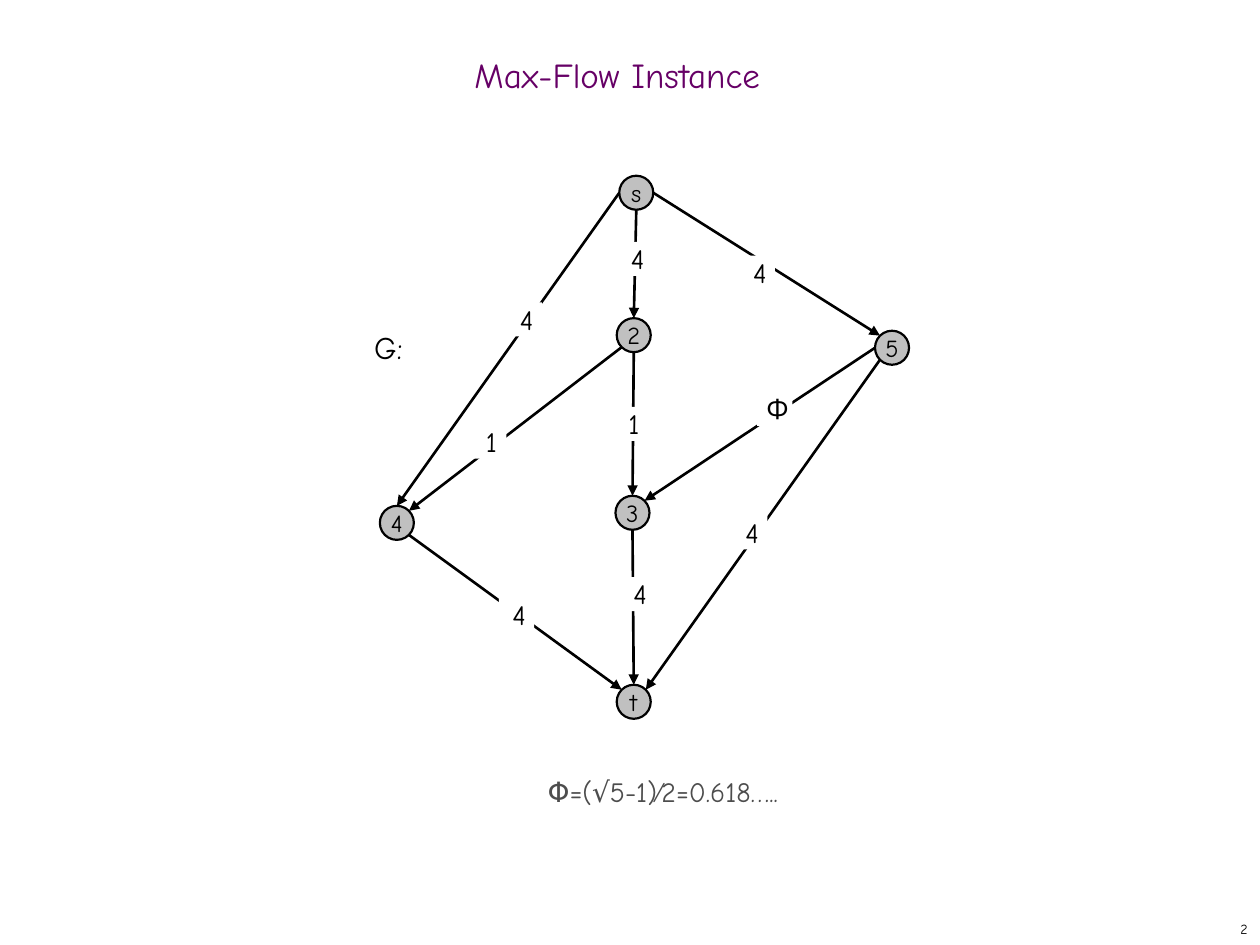
from dataclasses import dataclass

import lxml.etree
import pptx
import pptx.dml.color
import pptx.enum.shapes
import pptx.enum.text
import pptx.oxml.ns
import pptx.util

Inches = pptx.util.Inches
Align = pptx.enum.text.PP_ALIGN
Anchor = pptx.enum.text.MSO_ANCHOR
Kind = pptx.enum.shapes.MSO_SHAPE

FONT = "Comic Neue"
BLACK, WHITE, GRAY, PURPLE, DARK_GRAY = "000000", "FFFFFF", "C0C0C0", "660066", "4D4D4D"
NODE_SIZE = 0.27
LABEL_WIDTH, LABEL_HEIGHT = 0.28, 0.27
DIAGONAL = 0.71
SIDES = {
    "top": (0, -1), "bottom": (0, 1), "left": (-1, 0), "right": (1, 0),
    "top left": (-DIAGONAL, -DIAGONAL), "top right": (DIAGONAL, -DIAGONAL),
    "bottom left": (-DIAGONAL, DIAGONAL), "bottom right": (DIAGONAL, DIAGONAL),
}


@dataclass(frozen=True)
class Node:
    name: str
    x: float
    y: float

    def site(self, side: str) -> tuple[float, float]:
        across, down = SIDES[side]
        radius = NODE_SIZE / 2
        return self.x + across * radius, self.y + down * radius


@dataclass(frozen=True)
class Edge:
    start: str
    start_side: str
    end: str
    end_side: str
    capacity: str
    label_x: float
    label_y: float
    font: str = FONT


NODES = {node.name: node for node in (
    Node("s", 5.05, 1.53),
    Node("2", 5.03, 2.66),
    Node("3", 5.02, 4.07),
    Node("4", 3.15, 4.15),
    Node("5", 7.08, 2.76),
    Node("t", 5.03, 5.57),
)}
EDGES = (
    Edge("s", "left", "4", "top", "4", 4.02, 2.4),
    Edge("s", "right", "5", "top left", "4", 5.87, 2.03),
    Edge("s", "bottom", "2", "top", "4", 4.9, 1.92),
    Edge("4", "bottom right", "t", "top left", "4", 3.96, 4.74),
    Edge("5", "bottom left", "t", "top right", "4", 5.81, 4.09),
    Edge("5", "left", "3", "top right", "Φ", 6.01, 3.11, "Open Sans"),
    Edge("2", "bottom left", "4", "top right", "1", 3.74, 3.37),
    Edge("2", "bottom", "3", "top", "1", 4.87, 3.23),
    Edge("3", "bottom", "t", "top", "4", 4.92, 4.58),
)


def color(value: str) -> pptx.dml.color.RGBColor:
    return pptx.dml.color.RGBColor.from_string(value)


def write(shape, text: str, *, size: float, font: str = FONT, fill: str = BLACK,
          align=Align.CENTER, anchor=Anchor.TOP, left: float = 0, right: float = 0,
          line_spacing: float = 1.0) -> None:
    frame = shape.text_frame
    frame.word_wrap = True
    frame.vertical_anchor = anchor
    frame.margin_left, frame.margin_right = Inches(left), Inches(right)
    frame.margin_top = frame.margin_bottom = 0
    paragraph = frame.paragraphs[0]
    paragraph.alignment = align
    paragraph.line_spacing = line_spacing
    run = paragraph.add_run()
    run.text = text
    run.font.name = font
    run.font.size = pptx.util.Pt(size)
    run.font.color.rgb = color(fill)


def add_text(slide, x: float, y: float, width: float, height: float, text: str, **style) -> None:
    box = slide.shapes.add_textbox(Inches(x), Inches(y), Inches(width), Inches(height))
    write(box, text, **style)


def add_filled(slide, kind, x: float, y: float, width: float, height: float, fill: str):
    shape = slide.shapes.add_shape(kind, Inches(x), Inches(y), Inches(width), Inches(height))
    shape.shadow.inherit = False
    shape.fill.solid()
    shape.fill.fore_color.rgb = color(fill)
    shape.line.fill.background()
    return shape


def add_node(slide, node: Node) -> None:
    radius = NODE_SIZE / 2
    shape = add_filled(slide, Kind.OVAL, node.x - radius, node.y - radius,
                       NODE_SIZE, NODE_SIZE, GRAY)
    shape.line.color.rgb = color(BLACK)
    shape.line.width = pptx.util.Pt(1.25)
    write(shape, node.name, size=14, anchor=Anchor.MIDDLE)


def add_edge(slide, edge: Edge) -> None:
    start = NODES[edge.start].site(edge.start_side)
    end = NODES[edge.end].site(edge.end_side)
    connector = slide.shapes.add_connector(
        pptx.enum.shapes.MSO_CONNECTOR.STRAIGHT, *map(Inches, start + end))
    connector.line.color.rgb = color(BLACK)
    connector.line.width = pptx.util.Pt(1.5)
    qn = pptx.oxml.ns.qn
    lxml.etree.SubElement(connector.line._get_or_add_ln(), qn("a:tailEnd"), type="triangle")
    lxml.etree.SubElement(connector._element.spPr, qn("a:effectLst"))


def add_capacity(slide, edge: Edge) -> None:
    shape = add_filled(slide, Kind.RECTANGLE, edge.label_x, edge.label_y,
                       LABEL_WIDTH, LABEL_HEIGHT, WHITE)
    write(shape, edge.capacity, size=16, font=edge.font, left=0.04)


def main() -> None:
    """Build the slide showing a max-flow instance."""
    presentation = pptx.Presentation()
    presentation.slide_width, presentation.slide_height = Inches(10), Inches(7.5)
    slide = presentation.slides.add_slide(presentation.slide_layouts[6])

    add_text(slide, 7.92, 7.25, 2.08, 0.25, "2", size=8, align=Align.RIGHT,
             anchor=Anchor.MIDDLE, right=0.1)
    add_text(slide, -0.1, 0.38, 10, 0.5, "Max-Flow Instance", size=20, fill=PURPLE,
             anchor=Anchor.MIDDLE, line_spacing=0.7)
    for node in NODES.values():
        add_node(slide, node)
    for edge in EDGES:
        add_edge(slide, edge)
    for edge in EDGES:
        add_capacity(slide, edge)
    graph_name = add_filled(slide, Kind.RECTANGLE, 2.9, 2.6, 0.48, 0.3, WHITE)
    write(graph_name, "G:", size=18, align=Align.LEFT, left=0.07)
    add_text(slide, 3.82, 6.15, 2.88, 0.51, "Φ=(√5-1)⁄2=0.618…..", size=16, fill=DARK_GRAY)

    presentation.save("out.pptx")


if __name__ == "__main__":
    main()
